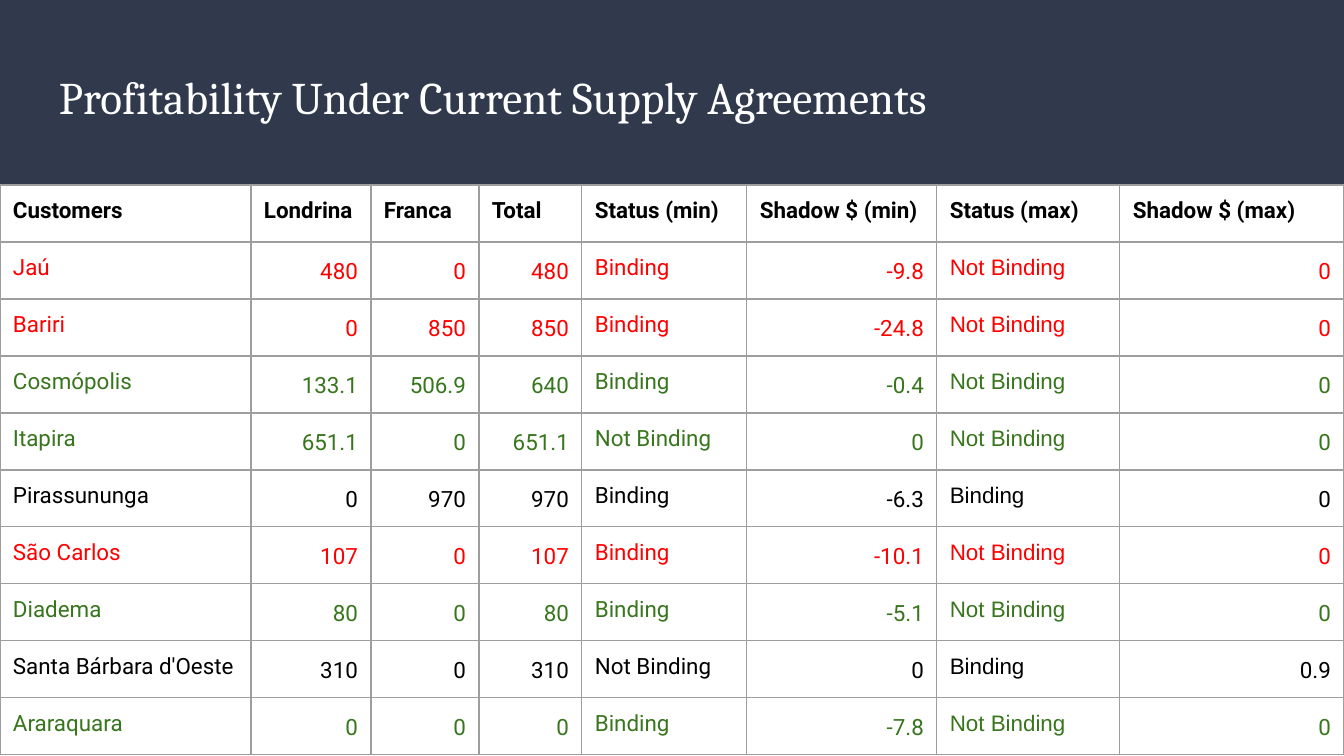
from lxml import etree
from pptx import Presentation, util as u
from pptx.dml.color import RGBColor
from pptx.enum import shapes, text
from pptx.oxml.ns import qn

W, H = 1344, 756
EMU_PER_PX = 9144000 / W
INSET = 13
NAVY, WHITE, GRID = "31394D", "FFFFFF", "9E9E9E"
BLACK, RED, GREEN = "000000", "FF0000", "38761D"

HEADERS = ["Customers", "Londrina", "Franca", "Total", "Status (min)",
           "Shadow $ (min)", "Status (max)", "Shadow $ (max)"]
COL_WIDTHS = [251, 120, 108, 103, 165, 190, 183, 224]
TEXT_COLS = (0, 4, 6)
STATUS_MAX = 6
CUSTOMERS = [
    (RED, "Jaú", "480", "0", "480", "Binding", "-9.8", "Not Binding", "0"),
    (RED, "Bariri", "0", "850", "850", "Binding", "-24.8", "Not Binding", "0"),
    (GREEN, "Cosmópolis", "133.1", "506.9", "640", "Binding", "-0.4", "Not Binding", "0"),
    (GREEN, "Itapira", "651.1", "0", "651.1", "Not Binding", "0", "Not Binding", "0"),
    (BLACK, "Pirassununga", "0", "970", "970", "Binding", "-6.3", "Binding", "0"),
    (RED, "São Carlos", "107", "0", "107", "Binding", "-10.1", "Not Binding", "0"),
    (GREEN, "Diadema", "80", "0", "80", "Binding", "-5.1", "Not Binding", "0"),
    (BLACK, "Santa Bárbara d'Oeste", "310", "0", "310", "Not Binding", "0", "Binding", "0.9"),
    (GREEN, "Araraquara", "0", "0", "0", "Binding", "-7.8", "Not Binding", "0"),
]


def px(n):
    return u.Emu(round(n * EMU_PER_PX))


def rgb(color):
    return RGBColor.from_string(color)


def set_insets(obj):
    obj.margin_left = obj.margin_right = px(INSET)
    obj.margin_top = obj.margin_bottom = px(INSET)


def format_font(p, face, size, color, bold=False):
    for r in p.runs:
        r.font.name, r.font.size, r.font.bold = face, u.Pt(size), bold
        r.font.color.rgb = rgb(color)


def add_borders(cell):
    tcPr = cell._tc.get_or_add_tcPr()
    # Border lines must come before the cell fill
    for i, side in enumerate(("a:lnL", "a:lnR", "a:lnT", "a:lnB")):
        ln = etree.Element(qn(side), w=str(u.Pt(0.75)))
        fill = etree.SubElement(ln, qn("a:solidFill"))
        etree.SubElement(fill, qn("a:srgbClr"), val=GRID)
        tcPr.insert(i, ln)


def fill_cell(cell, value, color, face="Roboto", bold=False, number=False):
    cell.fill.solid()
    cell.fill.fore_color.rgb = rgb(WHITE)
    set_insets(cell)
    add_borders(cell)
    cell.text = value
    p = cell.text_frame.paragraphs[0]
    p.alignment = text.PP_ALIGN.RIGHT if number else text.PP_ALIGN.LEFT
    p.line_spacing = 1.15 if number else 1.0
    format_font(p, face, 12, color, bold)


def add_banner(s, x, y, w, h):
    sp = s.shapes.add_shape(shapes.MSO_SHAPE.RECTANGLE, px(x), px(y), px(w), px(h))
    sp.shadow.inherit = False
    sp.fill.solid()
    sp.fill.fore_color.rgb = rgb(NAVY)
    sp.line.fill.background()


def place_title(s, x, y, w, h):
    title = s.shapes.title
    title.left, title.top, title.width, title.height = px(x), px(y), px(w), px(h)
    tf = title.text_frame
    tf.text = "Profitability Under Current Supply Agreements"
    tf.word_wrap = True
    tf.auto_size = text.MSO_AUTO_SIZE.NONE
    tf.vertical_anchor = text.MSO_ANCHOR.MIDDLE
    set_insets(tf)
    p = tf.paragraphs[0]
    p.alignment = text.PP_ALIGN.LEFT
    format_font(p, "Cambria", 24.2, WHITE)
    # Bring the title in front of the banner
    s.shapes._spTree.append(title._element)


def add_customer_table(s, x, y, w, row_h):
    rows = len(CUSTOMERS) + 1
    table = s.shapes.add_table(rows, len(HEADERS), px(x), px(y),
                               px(w), px(rows * row_h)).table
    table.horz_banding = False
    for col, width in zip(table.columns, COL_WIDTHS):
        col.width = px(width)
    for row in table.rows:
        row.height = px(row_h)

    # Header row
    for c, header in enumerate(HEADERS):
        fill_cell(table.cell(0, c), header, BLACK, bold=True)

    # One row per customer, coloured as a whole
    for i, (color, *values) in enumerate(CUSTOMERS, 1):
        for c, value in enumerate(values):
            fill_cell(table.cell(i, c), value, color,
                      face="Arial" if c == STATUS_MAX else "Roboto",
                      number=c not in TEXT_COLS)


def main():
    prs = Presentation()
    prs.slide_width, prs.slide_height = px(W), px(H)
    s = prs.slides.add_slide(prs.slide_layouts[5])
    add_banner(s, 0, 0, W, 188)
    add_customer_table(s, 0, 185, W, 57)
    place_title(s, 46, 55, 1252, 83)
    prs.save("out.pptx")


if __name__ == "__main__":
    main()
